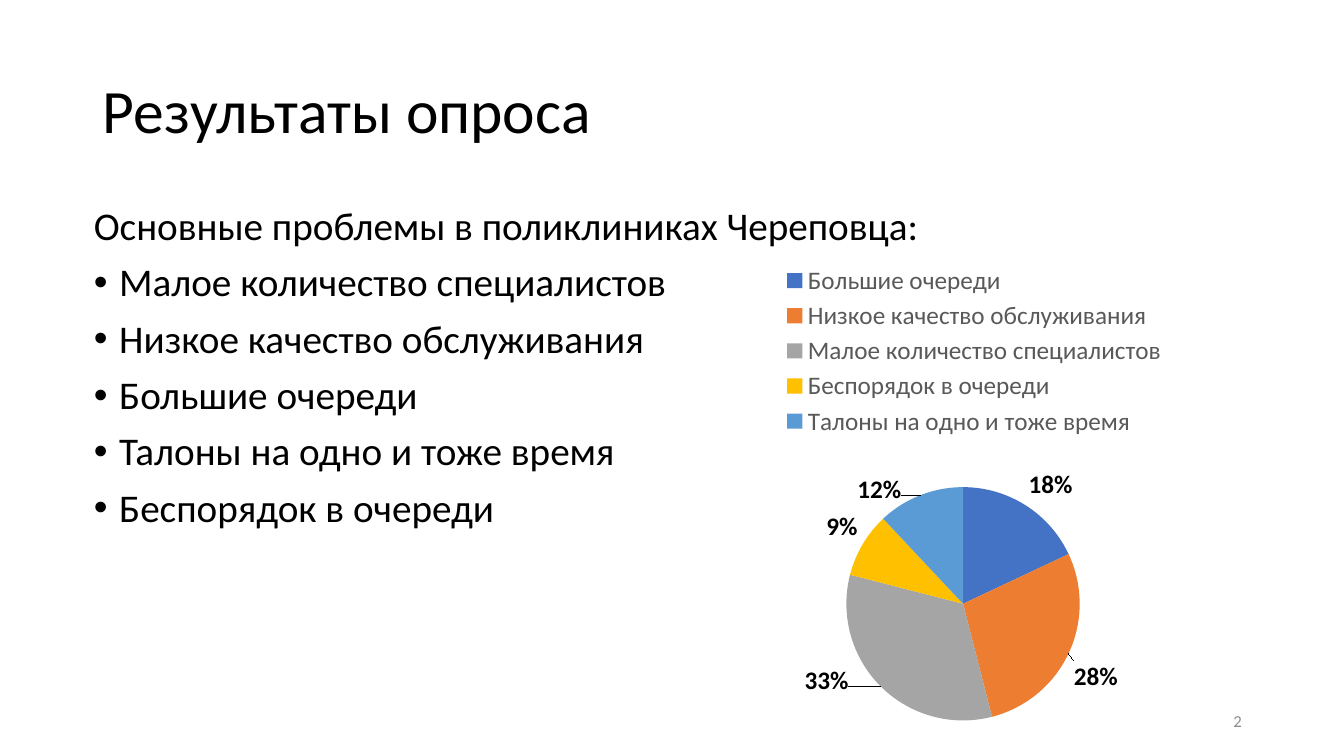
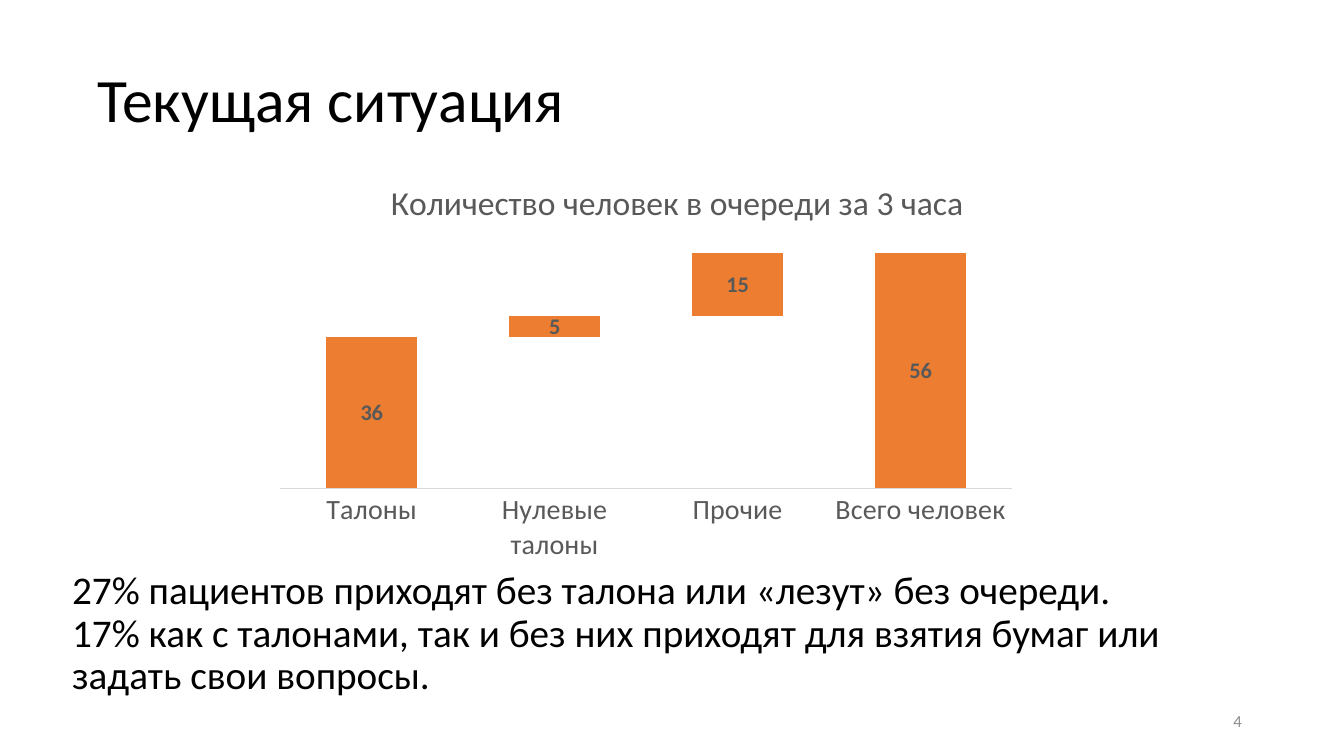
from lxml.etree import SubElement
from pptx import Presentation
from pptx.chart.data import CategoryChartData
from pptx.dml.color import RGBColor
from pptx.enum.chart import XL_CHART_TYPE, XL_LABEL_POSITION, XL_LEGEND_POSITION, XL_TICK_MARK
from pptx.enum.text import MSO_ANCHOR, MSO_AUTO_SIZE, PP_ALIGN
from pptx.oxml.ns import qn
from pptx.util import Cm, Pt

COLORS = {
    "text": "000000", "chart_text": "595959", "number": "8C8C8C", "axis": "D9D9D9",
    "blue": "4472C4", "orange": "ED7D31", "gray": "A5A5A5", "yellow": "FFC000", "sky": "5B9BD5",
}
FORMATS = {
    "title": ({"size": Pt(44)}, "text"),
    "body": ({"size": Pt(28)}, "text"),
    "number": ({"size": Pt(12)}, "number"),
    "legend": ({"size": Pt(18)}, "chart_text"),
    "percent": ({"size": Pt(18), "bold": True}, "text"),
    "chart_title": ({"size": Pt(24), "bold": False}, "chart_text"),
    "category": ({"size": Pt(20)}, "chart_text"),
    "value": ({"size": Pt(16), "bold": True}, "chart_text"),
}
NUMBER_BOX = (23.93, 17.65, 7.62, 1.02)

SURVEY = {
    "title": "Результаты опроса", "title_box": (2.34, 1.02, 29.21, 3.68), "number": "2",
    "intro": "Основные проблемы в поликлиниках Череповца:",
    "problems": [
        "Малое количество специалистов", "Низкое качество обслуживания", "Большие очереди",
        "Талоны на одно и тоже время", "Беспорядок в очереди",
    ],
    "body_box": (2.11, 5.08, 29.21, 13.97),
    "chart_box": (17.55, 6.32, 14, 12.62),
    "shares": [
        ("Большие очереди", 18, "blue", (0, 0)),
        ("Низкое качество обслуживания", 28, "orange", (0, 0.01)),
        ("Малое количество специалистов", 33, "gray", (-0.05, -0.05)),
        ("Беспорядок в очереди", 9, "yellow", (0, 0)),
        ("Талоны на одно и тоже время", 12, "sky", (-0.03, 0.03)),
    ],
}
SITUATION = {
    "title": "Текущая ситуация", "title_box": (2.21, 0.74, 29.21, 3.68), "number": "4",
    "chart_title": "Количество человек в очереди за 3 часа",
    "chart_box": (6.05, 3.53, 20.27, 10.62),
    "queue": [("Талоны", 0, 36), ("Нулевые талоны", 36, 5), ("Прочие", 41, 15), ("Всего человек", 0, 56)],
    "notes": [
        "27% пациентов приходят без талона или «лезут» без очереди.",
        "17% как с талонами, так и без них приходят для взятия бумаг или задать свои вопросы.",
    ],
    "notes_box": (1.57, 14.15, 29.21, 3.68),
}


def color(name):
    return RGBColor.from_string(COLORS[name])


def style_font(font, format_name):
    values, color_name = FORMATS[format_name]
    for name, value in {"name": "Calibri", **values}.items():
        setattr(font, name, value)
    font.color.rgb = color(color_name)


def lengths(box):
    return [Cm(value) for value in box]


def move(shape, box):
    for name, value in zip(("left", "top", "width", "height"), lengths(box)):
        setattr(shape, name, value)


def write(shape, lines, format_name, **paragraph_values):
    frame = shape.text_frame
    frame.word_wrap = True
    frame.auto_size = MSO_AUTO_SIZE.NONE
    frame.text = "\n".join(lines)
    for paragraph in frame.paragraphs:
        for name, value in paragraph_values.items():
            setattr(paragraph, name, value)
        for run in paragraph.runs:
            style_font(run.font, format_name)
    return frame


def set_bullet(paragraph, bullet):
    indent = Cm(0.64) if bullet else 0
    properties = paragraph._p.get_or_add_pPr()
    properties.set("marL", str(indent))
    properties.set("indent", str(-indent))
    if bullet:
        SubElement(properties, qn("a:buFont")).set("typeface", "Arial")
        SubElement(properties, qn("a:buChar")).set("char", bullet)
    else:
        SubElement(properties, qn("a:buNone"))


def set_layout(element, index, **values):
    for old_layout in element.findall(qn("c:layout")):
        element.remove(old_layout)
    layout = SubElement(element, qn("c:layout"))
    manual = SubElement(layout, qn("c:manualLayout"))
    for name, value in values.items():
        SubElement(manual, qn(f"c:{name}")).set("val", str(value))
    element.insert(index, layout)


def add_slide(presentation, layout_index, content):
    slide = presentation.slides.add_slide(presentation.slide_layouts[layout_index])
    title = slide.shapes.title
    move(title, content["title_box"])
    frame = write(title, [content["title"]], "title", line_spacing=0.9, alignment=PP_ALIGN.LEFT)
    frame.vertical_anchor = MSO_ANCHOR.MIDDLE
    number = slide.shapes.add_textbox(*lengths(NUMBER_BOX))
    frame = write(number, [content["number"]], "number", alignment=PP_ALIGN.RIGHT)
    frame.vertical_anchor = MSO_ANCHOR.MIDDLE
    return slide


def add_chart(slide, kind, box, categories, series):
    data = CategoryChartData()
    data.categories = categories
    for index, values in enumerate(series, 1):
        data.add_series(f"Series {index}", values)
    chart = slide.shapes.add_chart(kind, *lengths(box), data).chart
    chart.font.name = "Calibri"
    chart.font.size = Pt(10)
    return chart


def add_pie(slide):
    categories, values, fills, offsets = zip(*SURVEY["shares"])
    chart = add_chart(slide, XL_CHART_TYPE.PIE, SURVEY["chart_box"], categories, [values])
    chart.has_title = False
    chart.has_legend = True
    legend = chart.legend
    legend.position = XL_LEGEND_POSITION.TOP
    legend.include_in_layout = False
    style_font(legend.font, "legend")
    set_layout(legend._element, 1, xMode="edge", yMode="edge", x=0.15, y=0.02, w=0.7, h=0.36)
    set_layout(chart._chartSpace.chart.plotArea, 0, layoutTarget="inner", xMode="edge", yMode="edge",
               x=0.27, y=0.47, w=0.42, h=0.47)
    plot = chart.plots[0]
    plot.vary_by_categories = True
    series = plot.series[0]
    for index, fill_name in enumerate(fills):
        point = series.points[index]
        point.format.fill.solid()
        point.format.fill.fore_color.rgb = color(fill_name)
        style_font(point.data_label.font, "percent")
        point.data_label.position = XL_LABEL_POSITION.OUTSIDE_END
    for label, (x, y) in zip(series._element.iter(qn("c:dLbl")), offsets):
        label.find(qn("c:showVal")).set("val", "0")
        label.find(qn("c:showPercent")).set("val", "1")
        if x or y:
            set_layout(label, 1, x=x, y=y)


def add_waterfall(slide):
    categories, bases, steps = zip(*SITUATION["queue"])
    chart = add_chart(slide, XL_CHART_TYPE.COLUMN_STACKED, SITUATION["chart_box"], categories, [bases, steps])
    chart.has_legend = False
    chart.has_title = True
    chart.chart_title.text_frame.text = SITUATION["chart_title"]
    style_font(chart.chart_title.text_frame.paragraphs[0].runs[0].font, "chart_title")
    set_layout(chart.chart_title._element, 1, xMode="edge", yMode="edge", x=0.18, y=0.08)
    set_layout(chart._chartSpace.chart.plotArea, 0, layoutTarget="inner", xMode="edge", yMode="edge",
               x=0.05, y=0.23, w=0.91, h=0.6)
    category_axis, value_axis = chart.category_axis, chart.value_axis
    category_axis.major_tick_mark = XL_TICK_MARK.NONE
    category_axis.format.line.color.rgb = color("axis")
    category_axis.format.line.width = Pt(0.75)
    style_font(category_axis.tick_labels.font, "category")
    value_axis.has_major_gridlines = False
    value_axis.minimum_scale = 0
    value_axis.maximum_scale = 60
    value_axis.visible = False
    plot = chart.plots[0]
    plot.gap_width = 100
    plot.overlap = 100
    plot.vary_by_categories = False
    base_series, step_series = plot.series
    base_series.format.fill.background()
    step_series.format.fill.solid()
    step_series.format.fill.fore_color.rgb = color("orange")
    labels = step_series.data_labels
    labels.show_value = True
    labels.position = XL_LABEL_POSITION.CENTER
    style_font(labels.font, "value")


def build_survey(presentation):
    slide = add_slide(presentation, 1, SURVEY)
    body = slide.placeholders[1]
    move(body, SURVEY["body_box"])
    frame = write(body, [SURVEY["intro"], *SURVEY["problems"]], "body",
                  line_spacing=0.9, space_before=Pt(10))
    for index, paragraph in enumerate(frame.paragraphs):
        set_bullet(paragraph, "•" if index else None)
    add_pie(slide)


def build_situation(presentation):
    slide = add_slide(presentation, 5, SITUATION)
    add_waterfall(slide)
    notes = slide.shapes.add_textbox(*lengths(SITUATION["notes_box"]))
    frame = write(notes, SITUATION["notes"], "body", line_spacing=0.9)
    frame.vertical_anchor = MSO_ANCHOR.MIDDLE


def main():
    presentation = Presentation()
    presentation.slide_width = Cm(33.87)
    presentation.slide_height = Cm(19.05)
    build_survey(presentation)
    build_situation(presentation)
    presentation.save("out.pptx")


if __name__ == "__main__":
    main()
